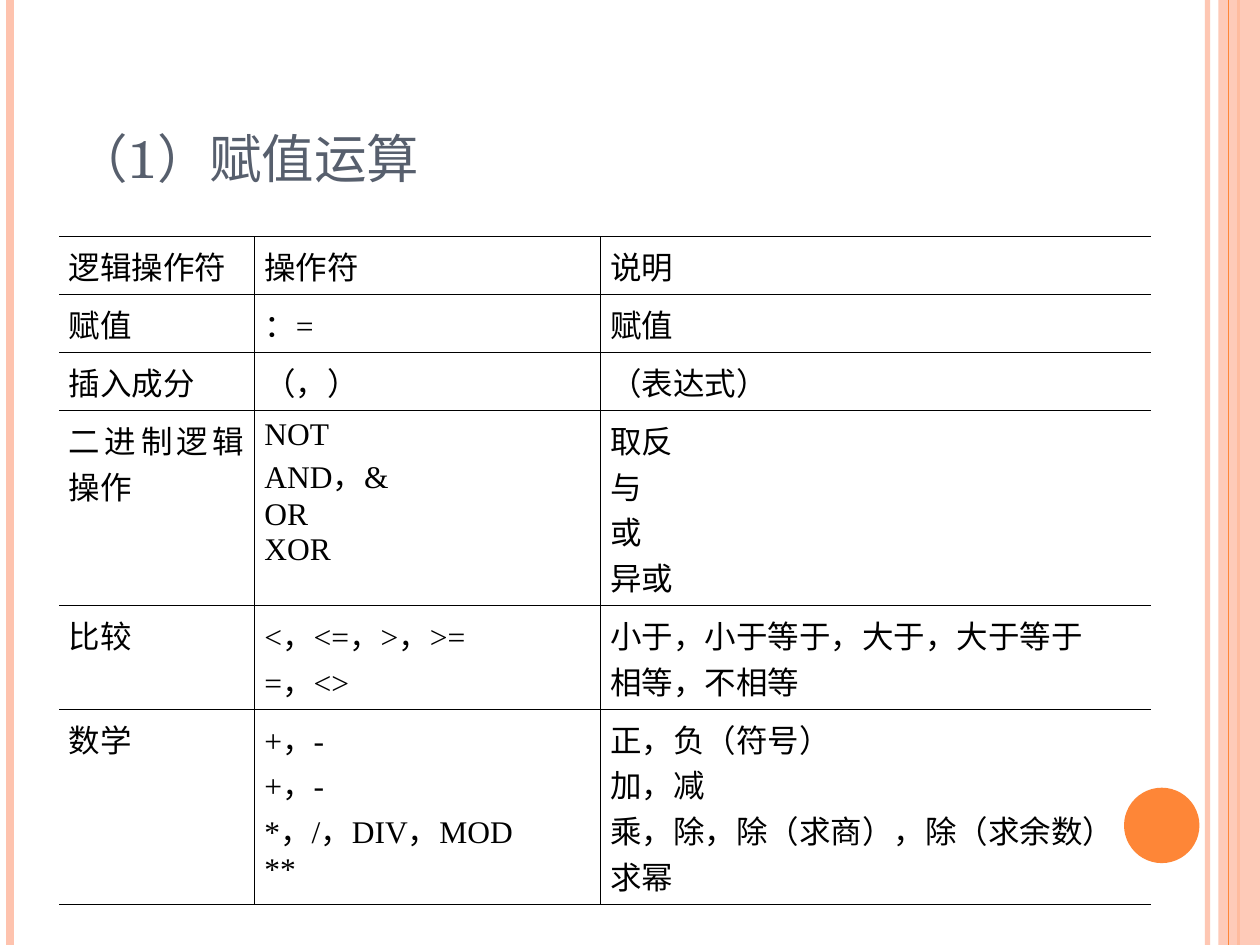
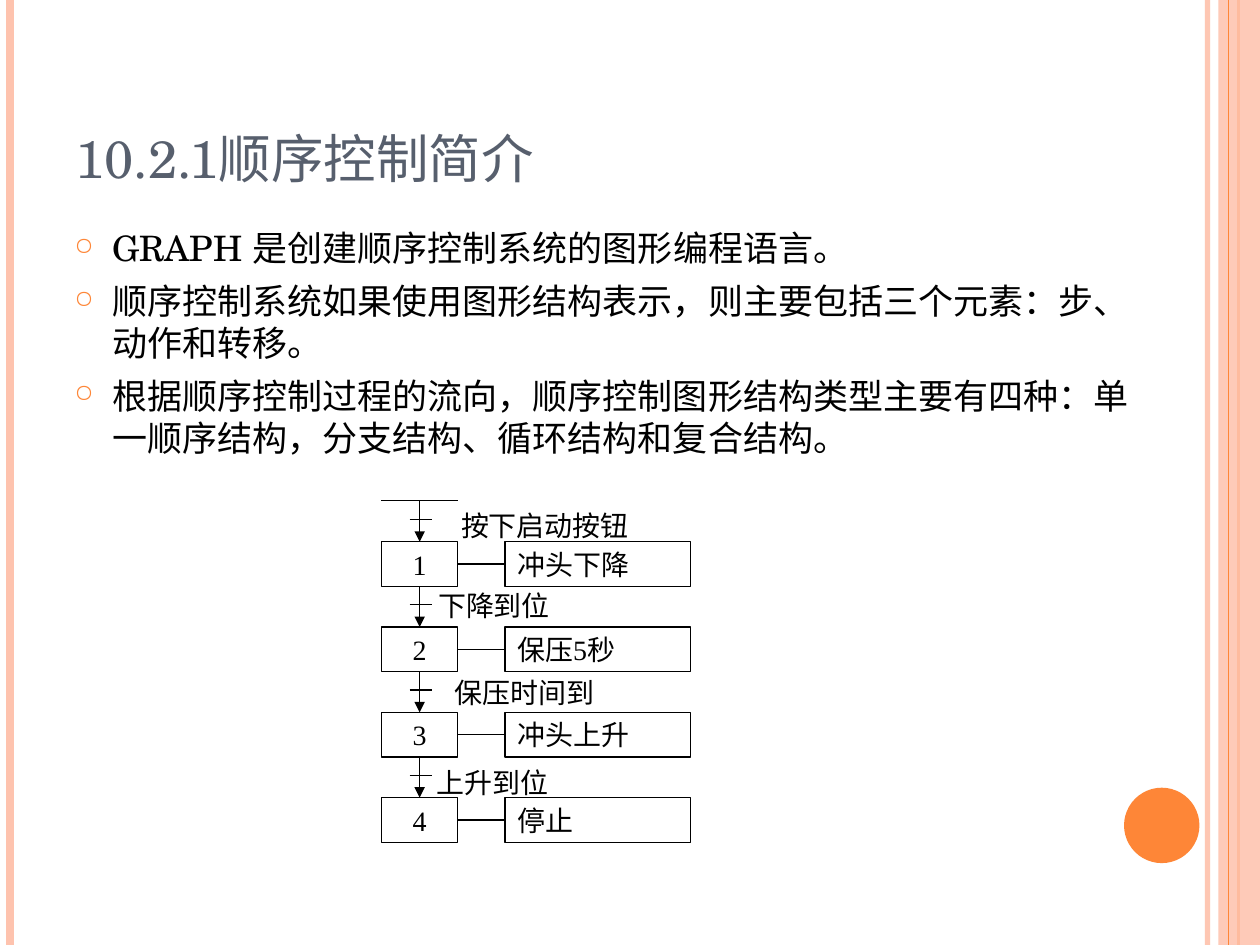
from lxml.etree import SubElement
from pptx import Presentation
from pptx.dml.color import RGBColor
from pptx.enum.shapes import MSO_CONNECTOR, MSO_SHAPE
from pptx.enum.text import MSO_ANCHOR, PP_ALIGN
from pptx.oxml.ns import qn
from pptx.util import Cm, Pt

PEACH = RGBColor(0xFE, 0xC3, 0xAE)
ORANGE = RGBColor(0xFE, 0x86, 0x37)
SLATE = RGBColor(0x57, 0x5F, 0x6D)
BLACK = RGBColor(0, 0, 0)
WHITE = RGBColor(255, 255, 255)
SERIF = "Times New Roman"
SCHOLA = "TeX Gyre Schola"
WIDE, HIGH = 25.4, 19.05


def write(para, text, size, font=SERIF, color=BLACK):
    run = para.add_run()
    run.text = text
    run.font.size = Pt(size)
    run.font.name = font
    run.font.color.rgb = color


def draw(slide, x1, y1, x2, y2, color=BLACK, width=0.75):
    line = slide.shapes.add_connector(
        MSO_CONNECTOR.STRAIGHT, Cm(x1), Cm(y1), Cm(x2), Cm(y2))
    line.line.color.rgb = color
    line.line.width = Pt(width)
    SubElement(line.element.spPr, qn("a:effectLst"))
    return line


deck = Presentation()
deck.slide_width, deck.slide_height = Cm(WIDE), Cm(HIGH)

# Shared bands, dot and title
slides = []
for title in ("（1）赋值运算", "10.2.1顺序控制简介"):
    slide = deck.slides.add_slide(deck.slide_layouts[6])
    slides.append(slide)
    edge = draw(slide, 24.34, 0, 24.34, HIGH, PEACH, 3)
    draw(slide, 0.21, 0, 0.21, HIGH, PEACH, 4.5)
    draw(slide, 24.97, 0, 24.97, HIGH, ORANGE, 1.5)
    band = slide.shapes.add_shape(
        MSO_SHAPE.RECTANGLE, Cm(24.56), 0, Cm(0.84), Cm(HIGH))
    draw(slide, 24.76, 0, 24.76, HIGH, ORANGE)
    dot = slide.shapes.add_shape(
        MSO_SHAPE.OVAL, Cm(22.66), Cm(15.88), Cm(1.52), Cm(1.52))
    for shape, color in ((band, PEACH), (dot, ORANGE)):
        shape.shadow.inherit = False
        shape.fill.solid()
        shape.fill.fore_color.rgb = color
        shape.line.fill.background()
    for shape, alpha in ((edge, 93000), (band, 87000)):
        tint = next(shape.element.iter(qn("a:srgbClr")))
        SubElement(tint, qn("a:alpha"), val=str(alpha))
    head = slide.shapes.add_textbox(
        Cm(1.27), Cm(0.76), Cm(20.75), Cm(3.18)).text_frame
    head.word_wrap = True
    head.vertical_anchor = MSO_ANCHOR.BOTTOM
    write(head.paragraphs[0], title, 30, SCHOLA, SLATE)

# Slide 1: operator table, one list of lines per cell
ROWS = [
    (["逻辑操作符"], ["操作符"], ["说明"]),
    (["赋值"], ["：="], ["赋值"]),
    (["插入成分"], ["（，）"], ["（表达式）"]),
    (["二进制逻辑操作"], ["NOT", "AND，&", "OR", "XOR"],
     ["取反", "与", "或", "异或"]),
    (["比较"], ["<，<=，>，>=", "=，<>"],
     ["小于，小于等于，大于，大于等于", "相等，不相等"]),
    (["数学"], ["+，-", "+，-", "*，/，DIV，MOD", "**"],
     ["正，负（符号）", "加，减", "乘，除，除（求商），除（求余数）", "求幂"]),
]
OPEN = ("a:lnL", None, "a:lnR")
grid = slides[0].shapes.add_table(
    len(ROWS), 3, Cm(1.19), Cm(4.77), Cm(22.02), Cm(13.46)).table
grid.first_row = grid.horz_banding = False
for col, width in zip(grid.columns, (3.94, 6.97, 11.11)):
    col.width = Cm(width)
for r, row in enumerate(ROWS):
    grid.rows[r].height = Cm(0.25 + 0.92 * len(row[2]))
    for c, lines in enumerate(row):
        cell = grid.cell(r, c)
        cell.margin_left = cell.margin_right = Cm(0.2)
        cell.margin_top = cell.margin_bottom = Cm(0.13)
        props = cell._tc.get_or_add_tcPr()
        for side in ("a:lnL", "a:lnR", "a:lnT", "a:lnB"):
            rule = SubElement(props, qn(side), w=str(Pt(0.45)))
            if side == OPEN[c]:
                SubElement(rule, qn("a:noFill"))
            else:
                fill = SubElement(rule, qn("a:solidFill"))
                SubElement(fill, qn("a:srgbClr"), val=str(BLACK))
        cell.fill.background()
        for i, text in enumerate(lines):
            frame = cell.text_frame
            para = frame.add_paragraph() if i else frame.paragraphs[0]
            para.alignment = PP_ALIGN.JUSTIFY
            write(para, text, 18)

# Slide 2: bullets
flow = slides[1]
POINTS = (
    "GRAPH 是创建顺序控制系统的图形编程语言。",
    "顺序控制系统如果使用图形结构表示，则主要包括三个元素：步、动作和转移。",
    "根据顺序控制过程的流向，顺序控制图形结构类型主要有四种："
    "单一顺序结构，分支结构、循环结构和复合结构。",
)
body = flow.shapes.add_textbox(
    Cm(1.25), Cm(4.45), Cm(22.35), Cm(5.66)).text_frame
body.word_wrap = True
for i, text in enumerate(POINTS):
    para = body.add_paragraph() if i else body.paragraphs[0]
    if i:
        para.space_before = Pt(6)
    props = para._p.get_or_add_pPr()
    props.set("marL", str(Cm(0.76)))
    props.set("indent", str(-Cm(0.76)))
    tint = SubElement(props, qn("a:buClr"))
    SubElement(tint, qn("a:srgbClr"), val=str(ORANGE))
    SubElement(props, qn("a:buSzPct"), val="70000")
    SubElement(props, qn("a:buChar"), char="○")
    write(para, text, 20, SCHOLA)

# Slide 2: step chart, with condition label as text, left, top, width
STEPS = (
    ("冲头下降", "按下启动按钮", 8.28, 10.14, 5.41),
    ("保压5秒", "下降到位", 8.26, 11.75, 3.4),
    ("冲头上升", "保压时间到", 8.25, 13.5, 4.65),
    ("停止", "上升到位", 8.23, 15.32, 3.4),
)
LEFT, TOP, PITCH, TALL = 7.69, 10.92, 1.72, 0.9
MID = LEFT + 0.77
draw(flow, LEFT, 10.09, LEFT + 1.54, 10.09)
last = None
for i, (act, cond, x, y, width) in enumerate(STEPS):
    top = TOP + i * PITCH
    boxes = []
    for text, left, high, wide, solid in (
            (str(i + 1), LEFT, top, 1.54, True),
            (act, 10.18, top, 3.74, True),
            (cond, x, y, width, False)):
        box = flow.shapes.add_shape(
            MSO_SHAPE.FLOWCHART_PROCESS, Cm(left), Cm(high), Cm(wide), Cm(TALL))
        box.shadow.inherit = False
        if solid:
            box.fill.solid()
            box.fill.fore_color.rgb = WHITE
            box.line.color.rgb = BLACK
            box.line.width = Pt(0.75)
        else:
            box.fill.background()
            box.line.fill.background()
        box.text_frame.vertical_anchor = MSO_ANCHOR.MIDDLE
        para = box.text_frame.paragraphs[0]
        para.alignment = PP_ALIGN.LEFT if text == act else PP_ALIGN.CENTER
        write(para, text, 16)
        boxes.append(box)
    step, task = boxes[:2]
    link = draw(flow, LEFT + 1.54, top + TALL / 2, 10.18, top + TALL / 2)
    link.begin_connect(step, 3)
    link.end_connect(task, 1)
    arrow = draw(flow, MID, top - 0.82, MID, top)
    if last:
        arrow.begin_connect(last, 2)
    arrow.end_connect(step, 0)
    SubElement(next(arrow.element.iter(qn("a:ln"))),
               qn("a:tailEnd"), type="triangle")
    draw(flow, MID - 0.2, top - 0.45, MID + 0.25, top - 0.45)
    last = step

deck.save("out.pptx")
